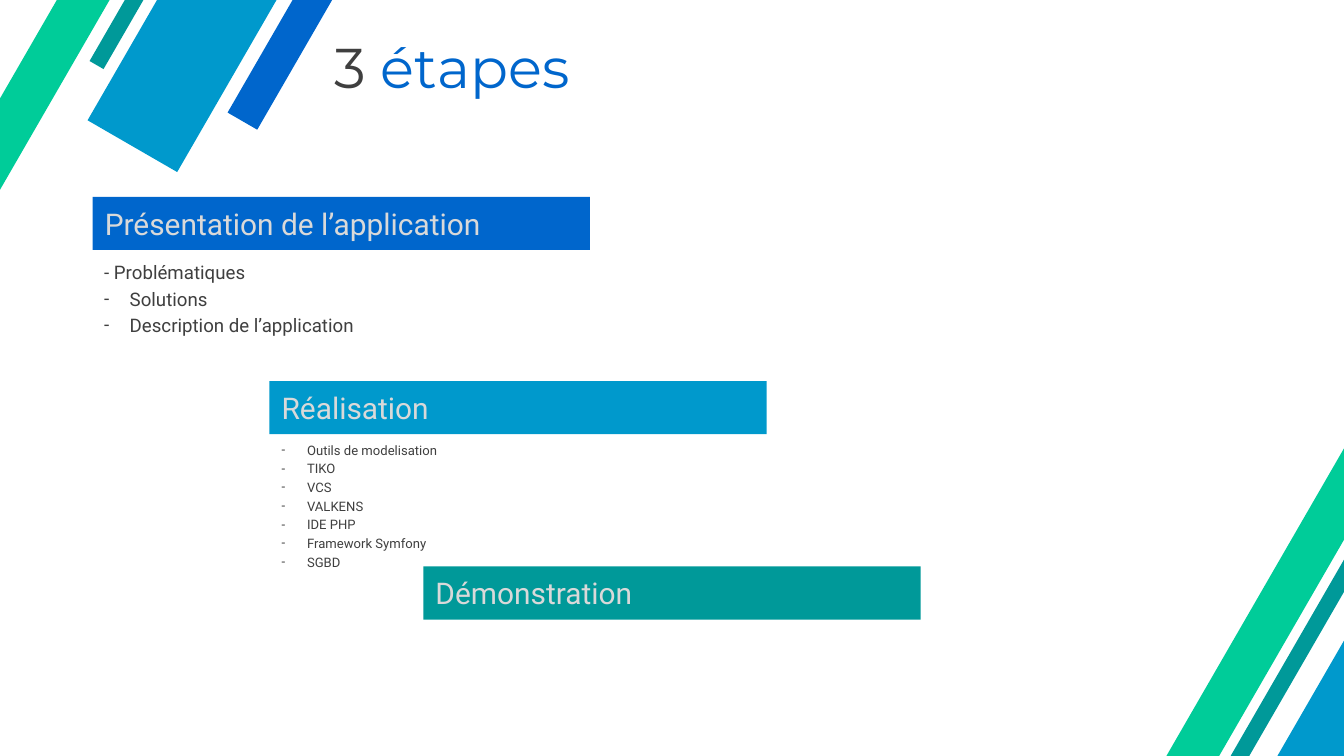
from lxml.etree import SubElement
from pptx import Presentation
from pptx.dml.color import RGBColor
from pptx.enum.shapes import MSO_SHAPE as Shape
from pptx.enum.text import MSO_ANCHOR as Anchor, PP_ALIGN as Align
from pptx.oxml.ns import qn
from pptx.util import Inches, Pt

BLUE = RGBColor(0x00, 0x66, 0xCC)
CYAN = RGBColor(0x00, 0x99, 0xCC)
TEAL = RGBColor(0x00, 0x99, 0x99)
GREEN = RGBColor(0x00, 0xCC, 0x99)
DARK = RGBColor(0x3F, 0x3F, 0x3F)
LIGHT = RGBColor(0xD9, 0xD9, 0xD9)

HEADING_FONT = "Montserrat"
BODY_FONT = "Roboto"
INDENT = 0.38
STRIPE_ANGLE = 300
BANNER_SIZE = (7.4, 0.79)

STRIPES = [
    (-1.42, -7.16, 20.11, 0.51, BLUE),
    (-3.05, -7.29, 20.08, 1.54, CYAN),
    (-3.59, -7.86, 20.11, 0.24, TEAL),
    (-5.83, -5.47, 20.06, 0.68, GREEN),
    (13.68, 3.86, 20.08, 1.54, CYAN),
    (12.9, 3.33, 20.11, 0.24, TEAL),
    (10.71, 5.73, 20.06, 0.68, GREEN),
]
BANNERS = [
    (1.38, 2.93, BLUE, "Présentation de l’application"),
    (4.01, 5.67, CYAN, "Réalisation"),
    (6.3, 8.43, TEAL, "Démonstration"),
]
PRESENTATION_TOPICS = ["Solutions", "Description de l’application"]
TOOLS = [
    "Outils de modelisation",
    "TIKO",
    "VCS",
    "VALKENS",
    "IDE PHP",
    "Framework Symfony",
    "SGBD",
]


class StepsSlide:
    def __init__(self, slide):
        self.slide = slide
        self.frame_format = {
            "margin_left": Inches(0.18),
            "margin_right": Inches(0.18),
            "margin_top": Inches(0.09),
            "margin_bottom": Inches(0.09),
            "word_wrap": True,
        }

    def style_frame(self, frame, anchor):
        for name, value in {**self.frame_format, "vertical_anchor": anchor}.items():
            setattr(frame, name, value)

    def run(self, paragraph, text, size, color, font=BODY_FONT):
        paragraph.alignment = Align.LEFT
        run = paragraph.add_run()
        run.text = text
        for name, value in {"name": font, "size": Pt(size)}.items():
            setattr(run.font, name, value)
        run.font.color.rgb = color

    def block(self, left, top, width, height, color):
        block = self.slide.shapes.add_shape(
            Shape.RECTANGLE, Inches(left), Inches(top), Inches(width), Inches(height)
        )
        block.shadow.inherit = False
        block.fill.solid()
        block.fill.fore_color.rgb = color
        block.line.fill.background()
        return block

    def stripe(self, left, top, width, height, color):
        self.block(left, top, width, height, color).rotation = STRIPE_ANGLE

    def banner(self, left, top, color, text):
        frame = self.block(left, top, *BANNER_SIZE, color).text_frame
        self.style_frame(frame, Anchor.MIDDLE)
        self.run(frame.paragraphs[0], text, 32, LIGHT)

    def text_area(self, left, top, width, height, anchor=Anchor.TOP):
        area = self.slide.shapes.add_textbox(
            Inches(left), Inches(top), Inches(width), Inches(height)
        )
        self.style_frame(area.text_frame, anchor)
        return area.text_frame

    def title(self, left, top, width, height, parts):
        frame = self.text_area(left, top, width, height, Anchor.MIDDLE)
        for text, color in parts:
            self.run(frame.paragraphs[0], text, 60, color, HEADING_FONT)

    def topics(self, left, top, width, height, size, items, lead=None):
        frame = self.text_area(left, top, width, height)
        lines = [(lead, False)] if lead else []
        lines += [(item, True) for item in items]
        for index, (text, dashed) in enumerate(lines):
            paragraph = frame.add_paragraph() if index else frame.paragraphs[0]
            paragraph.space_before = Pt(round(size * 0.23, 1) if index else 0)
            self.run(paragraph, text, size, DARK)
            if dashed:
                self.dash(paragraph)

    def dash(self, paragraph):
        properties = paragraph._p.get_or_add_pPr()
        properties.set("marL", str(Inches(INDENT)))
        properties.set("indent", str(-Inches(INDENT)))
        SubElement(properties, qn("a:buFont")).set("typeface", BODY_FONT)
        SubElement(properties, qn("a:buChar")).set("char", "-")


def main():
    deck = Presentation()
    deck.slide_width = Inches(20)
    deck.slide_height = Inches(11.25)
    steps = StepsSlide(deck.slides.add_slide(deck.slide_layouts[6]))

    for stripe in STRIPES:
        steps.stripe(*stripe)
    steps.title(4.8, 0.45, 14.96, 1.08, [("3 ", DARK), ("étapes", BLUE)])
    steps.topics(1.37, 3.79, 10.99, 1.65, 20, PRESENTATION_TOPICS, "- Problématiques")
    steps.topics(4.01, 6.49, 10.99, 1.93, 14, TOOLS)
    for banner in BANNERS:
        steps.banner(*banner)

    deck.save("out.pptx")


if __name__ == "__main__":
    main()
